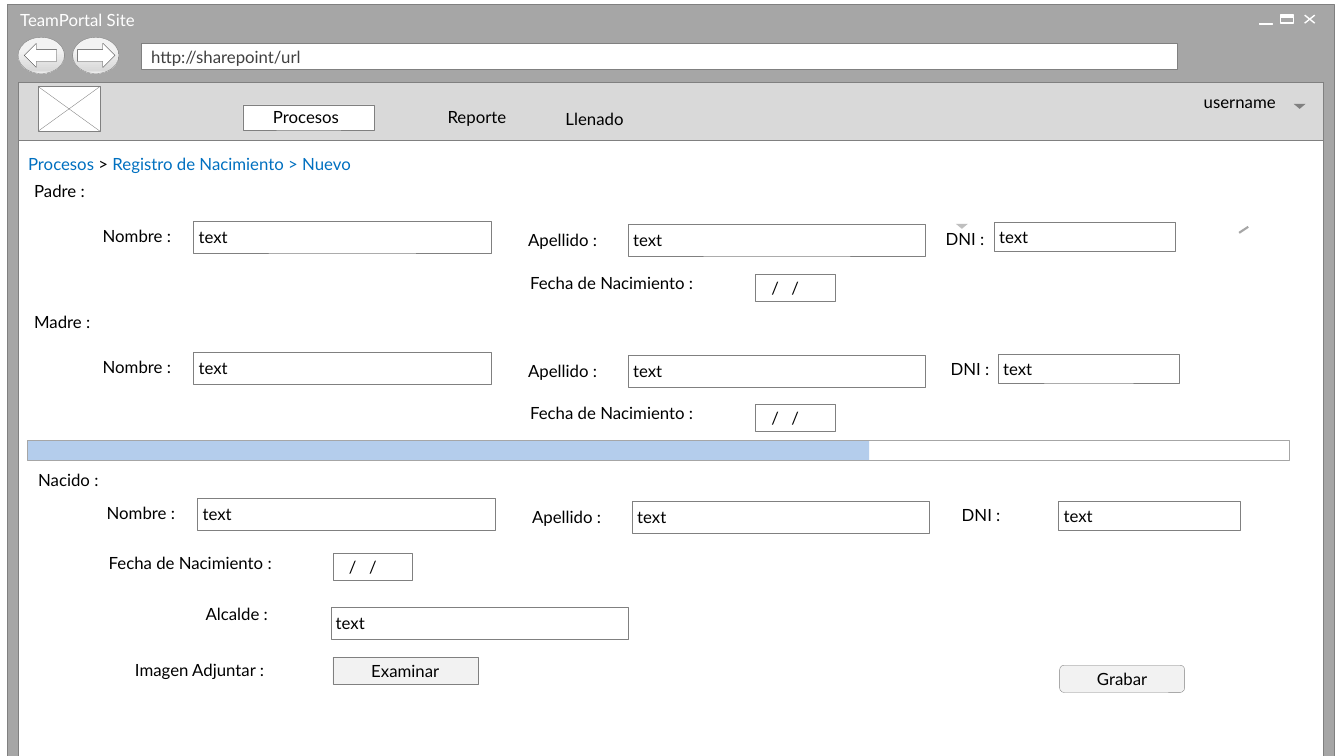
"""Build a wireframe slide of a birth registry form in a browser window."""
import copy
import pptx
import pptx.util
import pptx.dml.color
import pptx.enum.shapes
import pptx.enum.text
import pptx.oxml
import pptx.oxml.ns
from lxml import etree

KIND = pptx.enum.shapes.MSO_SHAPE
ALIGN = pptx.enum.text.PP_ALIGN
ANCHOR = pptx.enum.text.MSO_ANCHOR
Inches = pptx.util.Inches
qn = pptx.oxml.ns.qn

BLACK, WHITE, GRAY, MID, PALE = "000000", "FFFFFF", "808080", "A6A6A6", "F2F2F2"
BLUE = "0070C0"
TITLE = ("TeamPortal Site", (0.1, 0.07, 1.73, 0.26))
URL = "http://sharepoint/url"
MENU = [
    ("Reporte", 4.34, 1.04, 0.81),
    ("Llenado", 5.51, 1.06, 0.81),
    ("username", 11.84, 0.89, 1.22),
]
CRUMBS = [("Procesos ", BLUE), ("> ", BLACK), ("Registro de Nacimiento > Nuevo", BLUE)]
PEOPLE = [
    ("Padre :", (0.24, 1.77), (0.92, 2.22), (9.28, 2.25), (9.86, 2.2)),
    ("Madre :", (0.24, 3.07), (0.92, 3.52), (9.33, 3.54), (9.9, 3.51)),
    ("Nacido :", (0.28, 4.64), (0.96, 4.97), (9.44, 4.99), (10.5, 4.97)),
]
DATES = [(5.16, 2.69, 7.49), (5.16, 3.98, 7.49), (0.98, 5.46, 3.3)]
LABELS = [("Alcalde :", 1.94, 5.97, 0.89), ("Imagen Adjuntar :", 1.24, 6.52, 1.62)]
BUTTONS = [
    ("Examinar", KIND.RECTANGLE, (3.3, 6.52, 1.44, 0.27)),
    ("Grabar", KIND.ROUNDED_RECTANGLE, (10.51, 6.6, 1.24, 0.27)),
]
ARROWS = [
    (KIND.LEFT_ARROW, 0.18, 0.24, 0.32),
    (KIND.RIGHT_ARROW, 0.72, 0.77, 0.37),
]
CARETS = [(12.83, 1.03, GRAY), (9.48, 2.22, "BFBFBF")]

deck = pptx.Presentation()
deck.slide_width, deck.slide_height = Inches(13.33), Inches(7.5)
slide = deck.slides.add_slide(deck.slide_layouts[5])


def color(code):
    return pptx.dml.color.RGBColor.from_string(code)


def shape(kind, area, fill=WHITE, edge=GRAY, width=0.25):
    item = slide.shapes.add_shape(kind, *map(Inches, area))
    item.shadow.inherit = False
    if fill:
        item.fill.solid()
        item.fill.fore_color.rgb = color(fill)
    else:
        item.fill.background()
    if edge:
        item.line.color.rgb = color(edge)
        item.line.width = pptx.util.Pt(width)
    else:
        item.line.fill.background()
    return item


def box(area, fill=WHITE, edge=GRAY, width=0.25):
    return shape(KIND.RECTANGLE, area, fill, edge, width)


def line(x1, y1, x2, y2, ink, width):
    item = slide.shapes.add_connector(
        pptx.enum.shapes.MSO_CONNECTOR.STRAIGHT, *map(Inches, (x1, y1, x2, y2)))
    item.line.color.rgb = color(ink)
    item.line.width = pptx.util.Pt(width)
    etree.SubElement(item.element.spPr, qn("a:effectLst"))


def cross(x1, y1, x2, y2, ink, width):
    line(x1, y1, x2, y2, ink, width)
    line(x1, y2, x2, y1, ink, width)


def write(item, text, pads, ink=BLACK, align=ALIGN.LEFT, anchor=ANCHOR.MIDDLE):
    frame = item.text_frame
    frame.word_wrap = True
    frame.auto_size = pptx.enum.text.MSO_AUTO_SIZE.NONE
    frame.vertical_anchor = anchor
    (frame.margin_left, frame.margin_top,
     frame.margin_right, frame.margin_bottom) = map(Inches, pads)
    para = frame.paragraphs[0]
    para.text = text
    para.alignment = align
    para.font.name = "Lato"
    para.font.size = pptx.util.Pt(12)
    para.font.color.rgb = color(ink)
    return para


def label(text, x, y, width, height=0.25):
    item = slide.shapes.add_textbox(*map(Inches, (x, y, width, height)))
    return write(item, text, (0.1, 0.02, 0.1, 0.03))


def field(x, y, width=2.95, height=0.32):
    write(box((x, y, width, height)), "text", (0.05, 0.02, 0.05, 0.02))


def date(x, y, left):
    label("Fecha de Nacimiento :", x, y, 1.94)
    item = box((left, y + 0.03, 0.79, 0.27))
    props = item.text_frame.paragraphs[0]._p.get_or_add_pPr()
    tabs = etree.SubElement(props, qn("a:tabLst"))
    etree.SubElement(tabs, qn("a:tab"), pos=str(Inches(0.2)), algn="l")
    write(item, "/\t/", (0.16, 0, 0, 0))


def shade(item):
    item.fill.gradient()
    item.fill.gradient_angle = 270
    stops = item.element.spPr.find(".//" + qn("a:gsLst"))
    stops.append(copy.deepcopy(stops[-1]))
    for stop, (place, code) in zip(
            item.fill.gradient_stops, [(0.36, PALE), (0.91, "D9D9D9"), (1, PALE)]):
        stop.position = place
        stop.color.rgb = color(code)


def window():
    box((0.07, 0.04, 13.16, 7.72), MID)
    title = slide.shapes.title
    title.element.getparent().append(title.element)
    title.left, title.top, title.width, title.height = map(Inches, TITLE[1])
    write(title, TITLE[0], (0.1, 0.02, 0.1, 0.03), WHITE)
    write(box((1.4, 0.43, 10.28, 0.26)), URL, (0.1, 0.05, 0.1, 0.05), "404040")
    for kind, ring, left, width in ARROWS:
        shade(shape(KIND.OVAL, (ring, 0.37, 0.46, 0.36)))
        shape(kind, (left, 0.43, width, 0.24), edge="404040")
    cross(12.94, 0.15, 13.04, 0.23, WHITE, 1)
    box((12.7, 0.15, 0.13, 0.08), None, WHITE, 1)
    for x, y in [(12.7, 0.16), (12.49, 0.23)]:
        box((x, y, 0.13, 0.01), "919191", WHITE)


def page():
    box((0.18, 0.82, 12.94, 6.83))
    box((0.18, 0.82, 12.94, 0.57), "D9D9D9")
    box((0.38, 0.86, 0.61, 0.44))
    cross(0.38, 0.86, 0.99, 1.3, GRAY, 0.25)
    write(box((2.41, 1.04, 1.3, 0.25)), "Procesos", (0, 0.02, 0.05, 0.05),
          align=ALIGN.CENTER, anchor=ANCHOR.TOP)
    for entry in MENU:
        label(*entry)
    para = label("", 0.18, 1.49, 3.59, 0.28)
    for text, ink in CRUMBS:
        run = para.add_run()
        run.text = text
        run.font.name = "Lato"
        run.font.size = pptx.util.Pt(12)
        run.font.color.rgb = color(ink)
    for x, y, ink in CARETS:
        shape(KIND.ISOSCELES_TRIANGLE, (x, y, 0.12, 0.05), ink, None).rotation = 180
    line(12.29, 2.31, 12.38, 2.25, MID, 1.5)


def form():
    for head, spot, (x, y), mark, slot in PEOPLE:
        label(head, *spot, 0.88)
        label("Nombre :", x, y, 0.97)
        field(x + 1, y - 0.03)
        label("Apellido :", x + 4.22, y + 0.04, 0.97)
        field(x + 5.31, y)
        label("DNI :", *mark, 0.64)
        field(*slot, 1.8, 0.29)
    for entry in DATES:
        date(*entry)
    for entry in LABELS:
        label(*entry)
    field(3.28, 6.02)
    for text, kind, area in BUTTONS:
        write(shape(kind, area, PALE), text, (0.1, 0, 0.1, 0.01), align=ALIGN.CENTER)
    bar = box((0.27, 4.37, 8.35, 0.2), "558ED5", None)
    tint = bar.element.spPr.find(".//" + qn("a:srgbClr"))
    etree.SubElement(tint, qn("a:alpha"), val="44000")
    box((0.27, 4.37, 12.52, 0.2), None, MID)


window()
page()
form()
deck.save("out.pptx")
